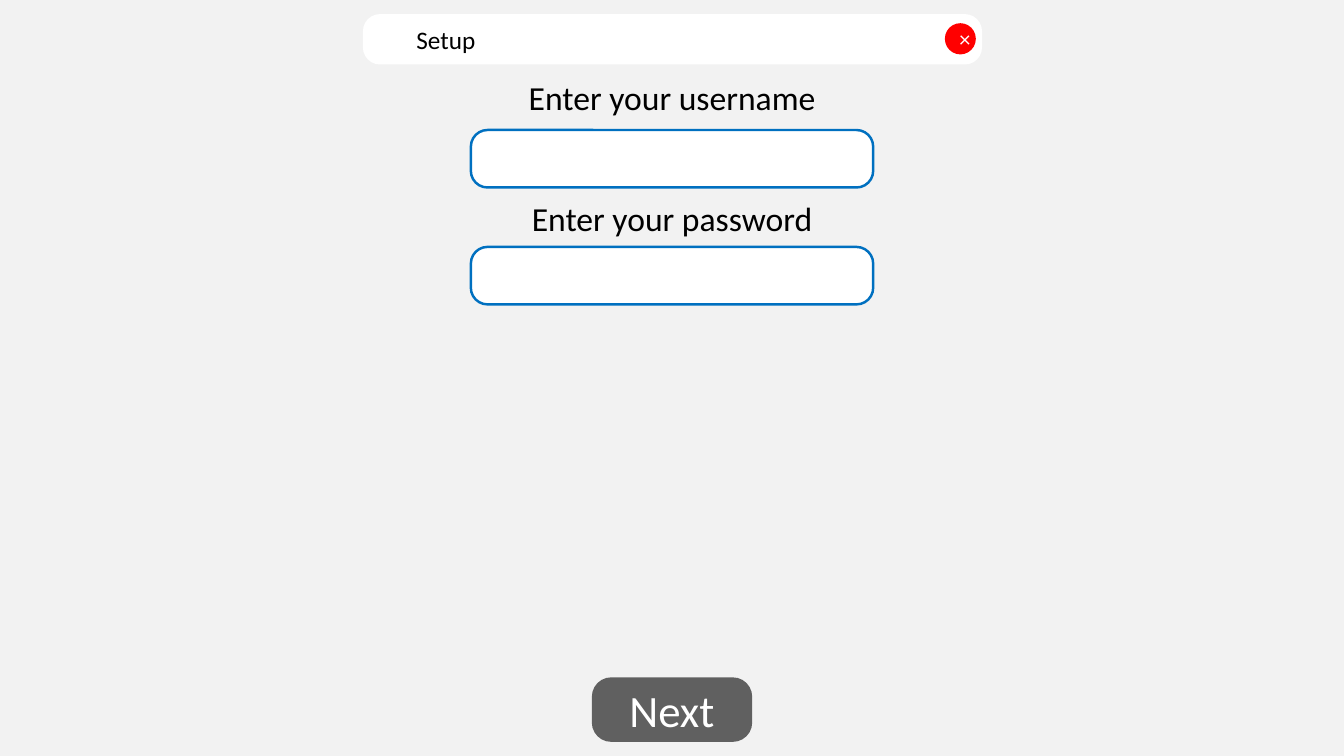
import dataclasses

import lxml.etree
import pptx
import pptx.dml.color
import pptx.enum.shapes
import pptx.enum.text
import pptx.oxml.ns
import pptx.util

SHAPE = pptx.enum.shapes.MSO_SHAPE
ALIGN = pptx.enum.text.PP_ALIGN
ANCHOR = pptx.enum.text.MSO_ANCHOR


@dataclasses.dataclass(frozen=True)
class Theme:
    font: str = "Calibri"
    page: str = "F2F2F2"
    ink: str = "000000"
    paper: str = "FFFFFF"
    outline: str = "0070C0"
    close: str = "FF0000"
    outline_width: float = 1.75
    symbol_size: int = 16
    title_size: int = 18
    label_size: int = 24
    button_size: int = 32


@dataclasses.dataclass(frozen=True)
class Box:
    left: float
    top: float
    width: float
    height: float

    def share(self, left, top, width, height):
        return Box(self.left + left * self.width, self.top + top * self.height,
                   width * self.width, height * self.height)

    def lengths(self):
        return [pptx.util.Inches(value) for value in dataclasses.astuple(self)]


THEME = Theme()
PAGE = Box(0, 0, 13.33, 7.5)


def rgb(color):
    return pptx.dml.color.RGBColor.from_string(color)


def write(shape, text, size, color, align=ALIGN.CENTER, anchor=ANCHOR.MIDDLE, wrap=True):
    frame = shape.text_frame
    frame.text = text
    frame.word_wrap = wrap
    frame.auto_size = pptx.enum.text.MSO_AUTO_SIZE.NONE
    frame.vertical_anchor = anchor
    para = frame.paragraphs[0]
    para.alignment = align
    for span in para.runs:
        span.font.name = THEME.font
        span.font.size = pptx.util.Pt(size)
        span.font.color.rgb = rgb(color)


def add_panel(page, kind, box, fill, corner=None, outline=None):
    panel = page.shapes.add_shape(kind, *box.lengths())
    panel.shadow.inherit = False
    panel.fill.solid()
    panel.fill.fore_color.rgb = rgb(fill)
    if corner is not None:
        panel.adjustments[0] = corner
    if outline:
        panel.line.color.rgb = rgb(outline)
        panel.line.width = pptx.util.Pt(THEME.outline_width)
    else:
        panel.line.fill.background()
    return panel


def add_title_bar(page, box, text):
    bar = add_panel(page, SHAPE.ROUNDED_RECTANGLE, box, THEME.paper, 0.34)
    title = page.shapes.title
    title.left, title.top, title.width, title.height = box.share(0.07, 0.1, 0.14, 0.8).lengths()
    write(title, text, THEME.title_size, THEME.ink, ALIGN.LEFT, ANCHOR.TOP, wrap=False)
    bar.element.addnext(title.element)
    close = add_panel(page, SHAPE.OVAL, box.share(0.94, 0.18, 0.05, 0.62), THEME.close)
    write(close, "×", THEME.symbol_size, THEME.paper)


def add_field(page, box, text, entry_top):
    label = page.shapes.add_textbox(*Box(box.left, box.top, box.width, 0.5).lengths())
    write(label, text, THEME.label_size, THEME.ink, anchor=ANCHOR.TOP)
    entry_width = 3.99
    entry = Box(box.left + (box.width - entry_width) / 2, box.top + entry_top, entry_width, 0.57)
    add_panel(page, SHAPE.ROUNDED_RECTANGLE, entry, THEME.paper, 0.29, THEME.outline)


def add_button(page, box, text):
    button = add_panel(page, SHAPE.ROUNDED_RECTANGLE, box, THEME.ink, 0.3)
    color = button.element.spPr.find(
        pptx.oxml.ns.qn("a:solidFill")).find(pptx.oxml.ns.qn("a:srgbClr"))
    lxml.etree.SubElement(color, pptx.oxml.ns.qn("a:alpha"), val="60000")
    write(button, text, THEME.button_size, THEME.paper)


def add_setup_page(deck, box):
    page = deck.slides.add_slide(deck.slide_layouts[5])
    page.background.fill.solid()
    page.background.fill.fore_color.rgb = rgb(THEME.page)
    add_title_bar(page, Box(box.left + 3.6, box.top + 0.14, 6.14, 0.5), "Setup")
    fields = (("Enter your username", 0.58), ("Enter your password", 0.54))
    for row, (text, entry_top) in enumerate(fields):
        field = Box(box.left + 3.07, box.top + 0.71 + 1.2 * row, 7.19, 1.2)
        add_field(page, field, text, entry_top)
    add_button(page, Box(box.left + 5.87, box.top + 6.72, 1.59, 0.64), "Next")


def main():
    deck = pptx.Presentation()
    deck.slide_width = pptx.util.Inches(PAGE.width)
    deck.slide_height = pptx.util.Inches(PAGE.height)
    add_setup_page(deck, PAGE)
    deck.save("out.pptx")


if __name__ == "__main__":
    main()
